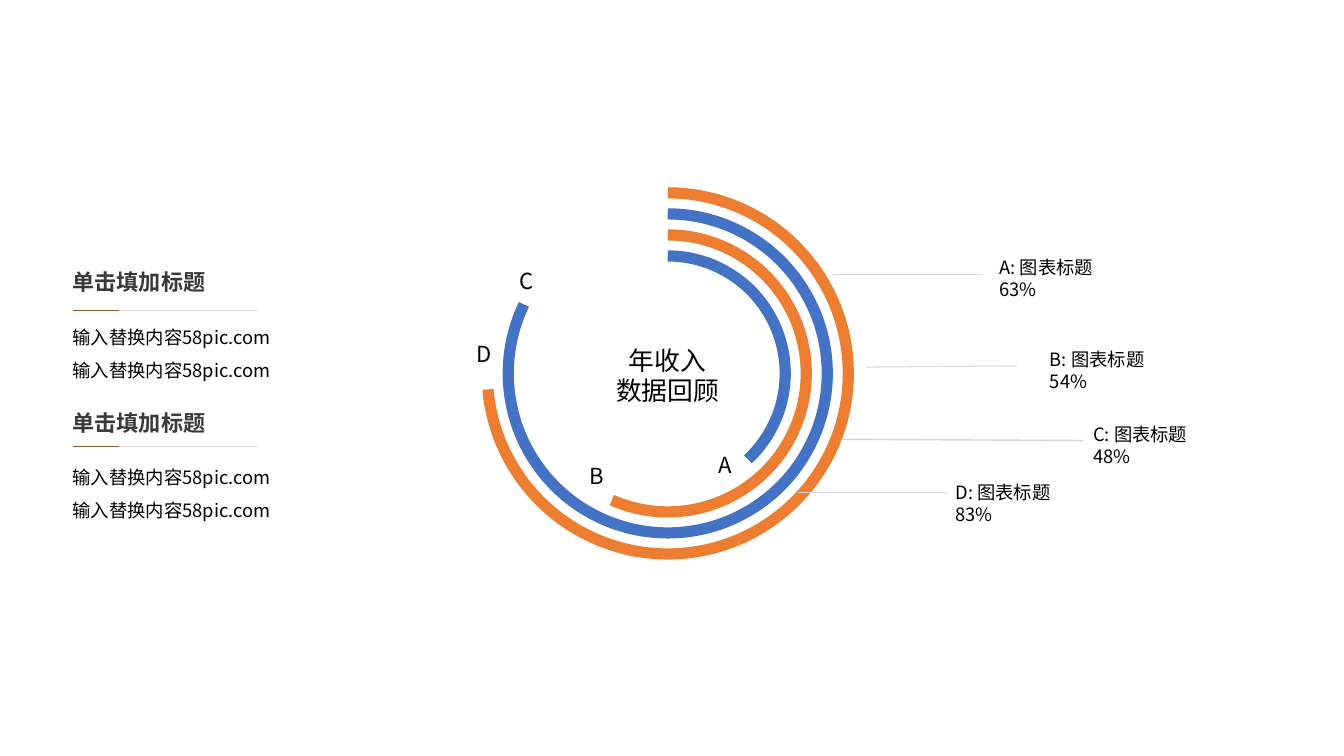
from dataclasses import dataclass

from lxml.etree import SubElement
from pptx import Presentation
from pptx.dml.color import RGBColor
from pptx.enum.shapes import MSO_CONNECTOR, MSO_SHAPE
from pptx.enum.text import MSO_ANCHOR, MSO_AUTO_SIZE, PP_ALIGN
from pptx.oxml.ns import qn
from pptx.util import Cm, Pt


@dataclass(frozen=True)
class Theme:
    font: str = "Noto Sans CJK SC"
    text: str = "000000"
    heading: str = "3B3838"
    blue: str = "4472C4"
    orange: str = "ED7D31"
    rule: str = "D9D9D9"
    accent: str = "865E3B"
    leader: str = "CFD6DC"
    title_size: float = 18.4
    heading_size: float = 15.8
    body_size: float = 13.1


THEME = Theme()


def place(shape, left, top, width, height):
    shape.left, shape.top = Cm(left), Cm(top)
    shape.width, shape.height = Cm(width), Cm(height)


def write(shape, text, size, leading, align=PP_ALIGN.LEFT, gap=0,
          color=THEME.text, bold=False, wrap=True):
    frame = shape.text_frame
    frame.text = text
    frame.word_wrap = wrap
    frame.auto_size = MSO_AUTO_SIZE.NONE
    frame.vertical_anchor = MSO_ANCHOR.TOP
    for number, para in enumerate(frame.paragraphs):
        properties = para._p.get_or_add_pPr()
        properties.set("marL", "0")
        properties.set("indent", "0")
        SubElement(properties, qn("a:buNone"))
        para.alignment = align
        para.line_spacing = Pt(leading)
        para.space_before = Pt(gap if number else 0)
        for span in para.runs:
            span.font.size = Pt(size)
            span.font.bold = bold
            span.font.color.rgb = RGBColor.from_string(color)
            span.font.name = THEME.font
            SubElement(span._r.get_or_add_rPr(), qn("a:ea"), typeface=THEME.font)


def add_line(page, start, end, color, width):
    line = page.shapes.add_connector(
        MSO_CONNECTOR.STRAIGHT, *(Cm(value) for value in (*start, *end)))
    line.line.color.rgb = RGBColor.from_string(color)
    line.line.width = Pt(width)
    SubElement(line._element.spPr, qn("a:effectLst"))


def add_label(page, text, left, top, width, height, size, leading):
    box = page.shapes.add_textbox(Cm(left), Cm(top), Cm(width), Cm(height))
    write(box, text, size, leading, wrap=False)


def build_section(page, heading, body, left, top, rule_offset):
    place(heading, left + 0.48, top, 4.57, 0.76)
    write(heading, "单击填加标题", THEME.heading_size, 24, PP_ALIGN.CENTER,
          color=THEME.heading, bold=True)
    frame = heading.text_frame
    frame.margin_left = frame.margin_right = frame.margin_top = frame.margin_bottom = 0
    rule = top + rule_offset
    add_line(page, (left + 1.22, rule), (left + 5.74, rule), THEME.rule, 0.5)
    add_line(page, (left + 1.09, rule), (left + 2.26, rule), THEME.accent, 1)
    place(body, left, top + 1.5, 7.16, 1.68)
    write(body, "\n".join(["输入替换内容58pic.com"] * 2), THEME.body_size, 15.7,
          PP_ALIGN.CENTER, gap=7.9)


def build_rings(page, title, center_x, center_y):
    rings = [
        ("A", 47, THEME.blue, 1.03, 1.84),
        ("B", 113.85, THEME.orange, -2.23, 2.12),
        ("C", 205.61, THEME.blue, -3.98, -2.81),
        ("D", 174.93, THEME.orange, -5.07, -0.95),
    ]
    for number, (letter, end_angle, color, shift_x, shift_y) in enumerate(rings):
        diameter = 5.92 + 1.06 * number
        ring = page.shapes.add_shape(
            MSO_SHAPE.ARC, Cm(center_x - diameter / 2), Cm(center_y - diameter / 2),
            Cm(diameter), Cm(diameter))
        ring.adjustments[0] = 270 * 0.6
        ring.adjustments[1] = end_angle * 0.6
        ring.shadow.inherit = False
        ring.fill.background()
        ring.line.color.rgb = RGBColor.from_string(color)
        ring.line.width = Pt(8)
        add_label(page, letter, center_x + shift_x, center_y + shift_y,
                  0.84, 0.94, THEME.heading_size, 19)
    place(title, center_x - 2.6, center_y - 0.72, 5.18, 2.29)
    write(title, "年收入\n数据回顾", THEME.title_size, 18.1, PP_ALIGN.CENTER, gap=3.7)


def build_legend(page, left, top):
    entries = [
        ("A", "63%", (4.82, 0), (4.62, 0.59), (0.86, 0.59), THEME.rule, 0.75),
        ("B", "54%", (6.09, 2.32), (5.51, 2.9), (1.72, 2.93), THEME.rule, 0.75),
        ("C", "48%", (7.18, 4.22), (7.18, 4.78), (1.09, 4.75), THEME.leader, 1),
        ("D", "83%", (3.71, 5.67), (3.76, 6.1), (0, 6.1), THEME.rule, 0.75),
    ]
    for letter, share, corner, start, end, color, width in entries:
        (label_x, label_y), start, end = (
            (left + x, top + y) for x, y in (corner, start, end))
        add_line(page, start, end, color, width)
        add_label(page, f"{letter}: 图表标题\v{share}", label_x, label_y,
                  3.68, 1.36, THEME.body_size, 15.7)


def main():
    deck = Presentation()
    deck.slide_width, deck.slide_height = Cm(33.87), Cm(19.05)
    page = deck.slides.add_slide(deck.slide_layouts[4])
    title, *texts = page.placeholders
    build_rings(page, title, 16.83, 9.41)
    build_legend(page, 20.12, 6.32)
    build_section(page, texts[0], texts[1], 0.74, 6.58, 1.24)
    build_section(page, texts[2], texts[3], 0.74, 10.13, 1.12)
    deck.save("out.pptx")


if __name__ == "__main__":
    main()
